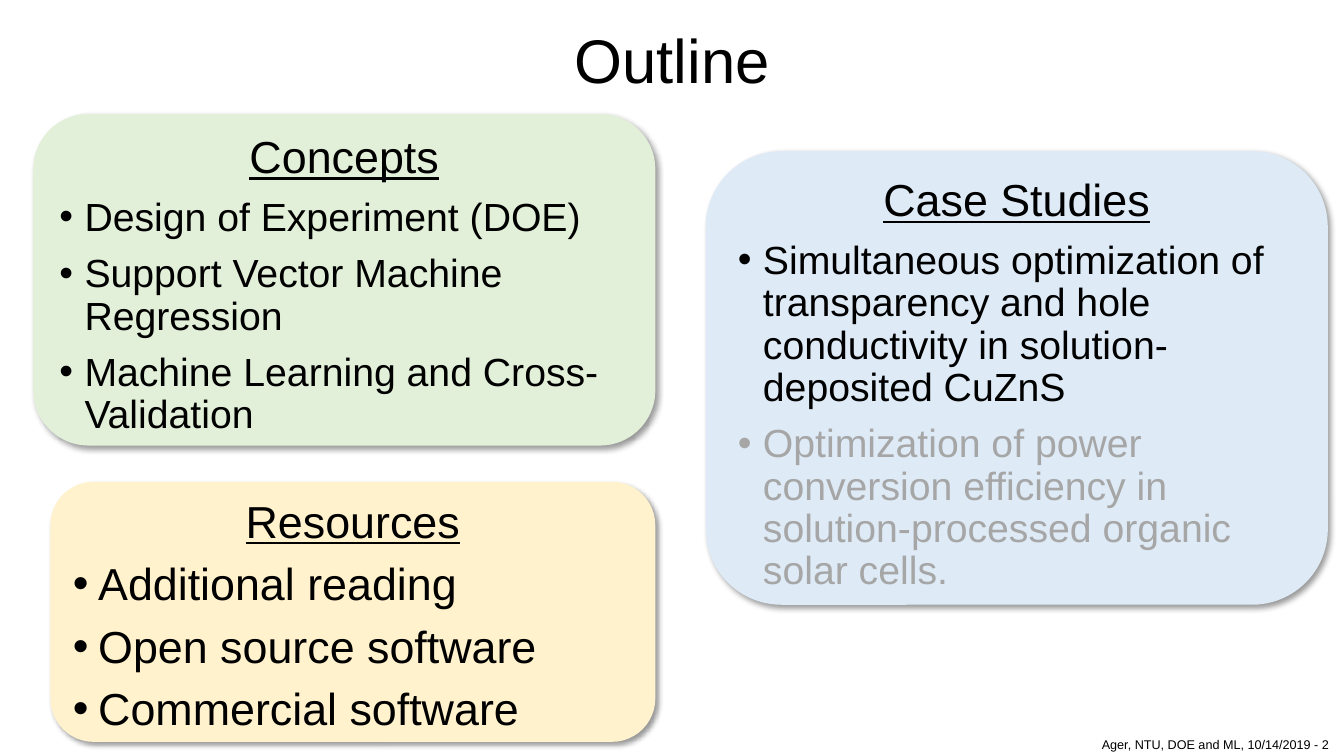
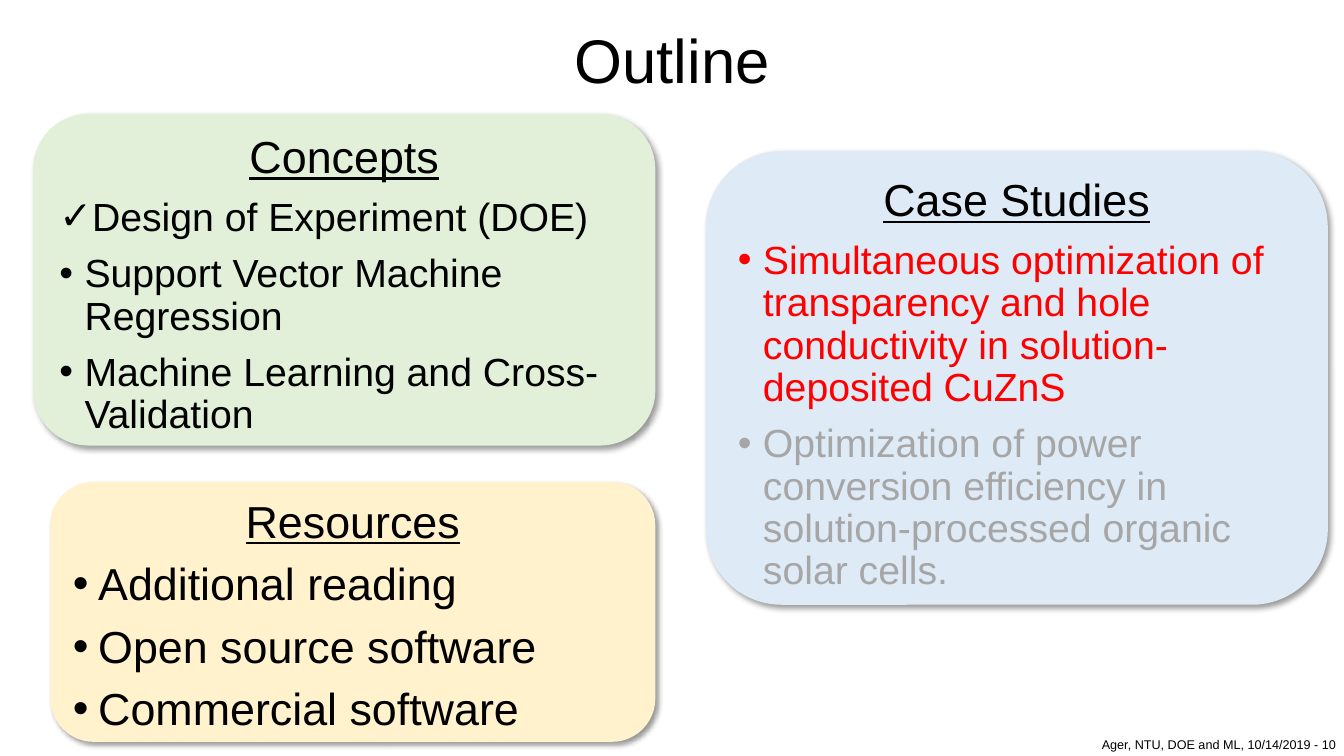
"""Build two outline slides whose cards track the progress of a lecture."""
from dataclasses import dataclass
from typing import Any

import pptx
import pptx.dml.color
import pptx.enum.shapes
import pptx.enum.text
import pptx.oxml
import pptx.oxml.ns
import pptx.oxml.xmlchemy
import pptx.util
from pptx.util import Inches, Pt

ALIGN = pptx.enum.text.PP_ALIGN
ANCHOR = pptx.enum.text.MSO_ANCHOR


@dataclass(frozen=True)
class Theme:
    font: str = "Arial"
    text: str = "000000"
    muted: str = "A6A6A6"
    current: str = "FF0000"
    case_fill: str = "DEEBF7"
    concept_fill: str = "E2F0D9"
    resource_fill: str = "FFF2CC"
    title_size: int = 44
    heading_size: int = 32
    item_size: int = 28
    footer_size: int = 9
    line_spacing: float = 0.9
    space_before: int = 10


THEME = Theme()


@dataclass(frozen=True)
class Item:
    text: str
    color: str = THEME.text
    bullet: str = "•"


@dataclass(frozen=True)
class Card:
    heading: str
    box: tuple[float, float, float, float]
    fill: str
    items: tuple[Item, ...]
    item_size: int = THEME.item_size


@dataclass(frozen=True)
class Outline:
    number: int
    cards: tuple[Card, ...]


def outline(number: int, first_bullet: str, first_case_color: str) -> Outline:
    """Describe the outline at one stage of the lecture."""
    return Outline(number, (
        Card("Case Studies", (7, 1.5, 6.17, 4.5), THEME.case_fill, (
            Item("Simultaneous optimization of transparency and hole conductivity "
                 "in solution-deposited CuZnS", first_case_color),
            Item("Optimization of power conversion efficiency in "
                 "solution-processed organic solar cells.", THEME.muted),
        )),
        Card("Concepts", (0.33, 1.13, 6.17, 3.29), THEME.concept_fill, (
            Item("Design of Experiment (DOE)", bullet=first_bullet),
            Item("Support Vector Machine Regression"),
            Item("Machine Learning and Cross-Validation"),
        )),
        Card("Resources", (0.5, 4.78, 6, 2.58), THEME.resource_fill, (
            Item("Additional reading"),
            Item("Open source software"),
            Item("Commercial software"),
        ), THEME.heading_size),
    ))


OUTLINES = (
    outline(2, "•", THEME.text),
    outline(10, "✓", THEME.current),
)


def apply(target: Any, values: dict[str, Any]) -> None:
    """Set each named attribute on the target."""
    for name, value in values.items():
        setattr(target, name, value)


def write(paragraph: Any, text: str, size: int, color: str = THEME.text,
          underline: bool = False, **layout: Any) -> None:
    """Fill a paragraph with one formatted run."""
    apply(paragraph, layout)
    run = paragraph.add_run()
    run.text = text
    apply(run.font, {"name": THEME.font, "size": Pt(size), "underline": underline})
    run.font.color.rgb = pptx.dml.color.RGBColor.from_string(color)


def add_bullet(paragraph: Any, mark: str) -> None:
    """Give a paragraph a hanging bullet."""
    properties = paragraph._p.get_or_add_pPr()
    properties.set("marL", str(Inches(0.25)))
    properties.set("indent", str(Inches(-0.25)))
    namespace = pptx.oxml.ns.nsdecls("a")
    for element in (f'<a:buFont {namespace} typeface="{THEME.font}"/>',
                    f'<a:buChar {namespace} char="{mark}"/>'):
        properties.append(pptx.oxml.parse_xml(element))


def add_shadow(shape: Any) -> None:
    """Replace the inherited shadow with a soft one to the lower right."""
    shape.shadow.inherit = False
    effects = shape._element.spPr.find(pptx.oxml.ns.qn("a:effectLst"))
    effects.append(pptx.oxml.parse_xml(
        f'<a:outerShdw {pptx.oxml.ns.nsdecls("a")} blurRad="{Pt(4)}" dist="{Pt(3)}" '
        'dir="2700000" algn="tl" rotWithShape="0"><a:srgbClr val="000000">'
        '<a:alpha val="40000"/></a:srgbClr></a:outerShdw>'))


def add_card(slide: Any, card: Card) -> None:
    """Draw a rounded card with a heading and bulleted items."""
    shape = slide.shapes.add_shape(
        pptx.enum.shapes.MSO_SHAPE.ROUNDED_RECTANGLE, *map(Inches, card.box))
    shape.fill.solid()
    shape.fill.fore_color.rgb = pptx.dml.color.RGBColor.from_string(card.fill)
    shape.line.fill.background()
    add_shadow(shape)
    frame = shape.text_frame
    apply(frame, {"word_wrap": True, "vertical_anchor": ANCHOR.TOP})
    write(frame.paragraphs[0], card.heading, THEME.heading_size, underline=True,
          alignment=ALIGN.CENTER, line_spacing=THEME.line_spacing)
    for item in card.items:
        paragraph = frame.add_paragraph()
        add_bullet(paragraph, item.bullet)
        write(paragraph, item.text, card.item_size, item.color,
              alignment=ALIGN.LEFT, line_spacing=THEME.line_spacing,
              space_before=Pt(THEME.space_before))


def add_title(slide: Any, text: str) -> None:
    """Place and format the title."""
    title = slide.shapes.title
    apply(title, {"left": Inches(0.92), "top": Inches(0.17),
                  "width": Inches(11.5), "height": Inches(0.93)})
    title.text_frame.vertical_anchor = ANCHOR.MIDDLE
    write(title.text_frame.paragraphs[0], text, THEME.title_size,
          alignment=ALIGN.CENTER, line_spacing=THEME.line_spacing)


def add_footer(slide: Any, number: int) -> None:
    """Write the lecture line with its slide number."""
    footer = slide.shapes.add_textbox(
        Inches(10.83), Inches(7.26), Inches(2.57), Inches(0.25))
    apply(footer.text_frame, {
        "word_wrap": False,
        "auto_size": pptx.enum.text.MSO_AUTO_SIZE.SHAPE_TO_FIT_TEXT})
    write(footer.text_frame.paragraphs[0],
          f"Ager, NTU, DOE and ML, 10/14/2019 - {number}", THEME.footer_size)


def main() -> None:
    """Build and save the presentation."""
    deck = pptx.Presentation()
    apply(deck, {"slide_width": Inches(13.33), "slide_height": Inches(7.5)})
    title_only = deck.slide_layouts.get_by_name("Title Only")
    for stage in OUTLINES:
        slide = deck.slides.add_slide(title_only)
        add_footer(slide, stage.number)
        add_title(slide, "Outline")
        for card in stage.cards:
            add_card(slide, card)
    deck.save("out.pptx")


if __name__ == "__main__":
    main()
